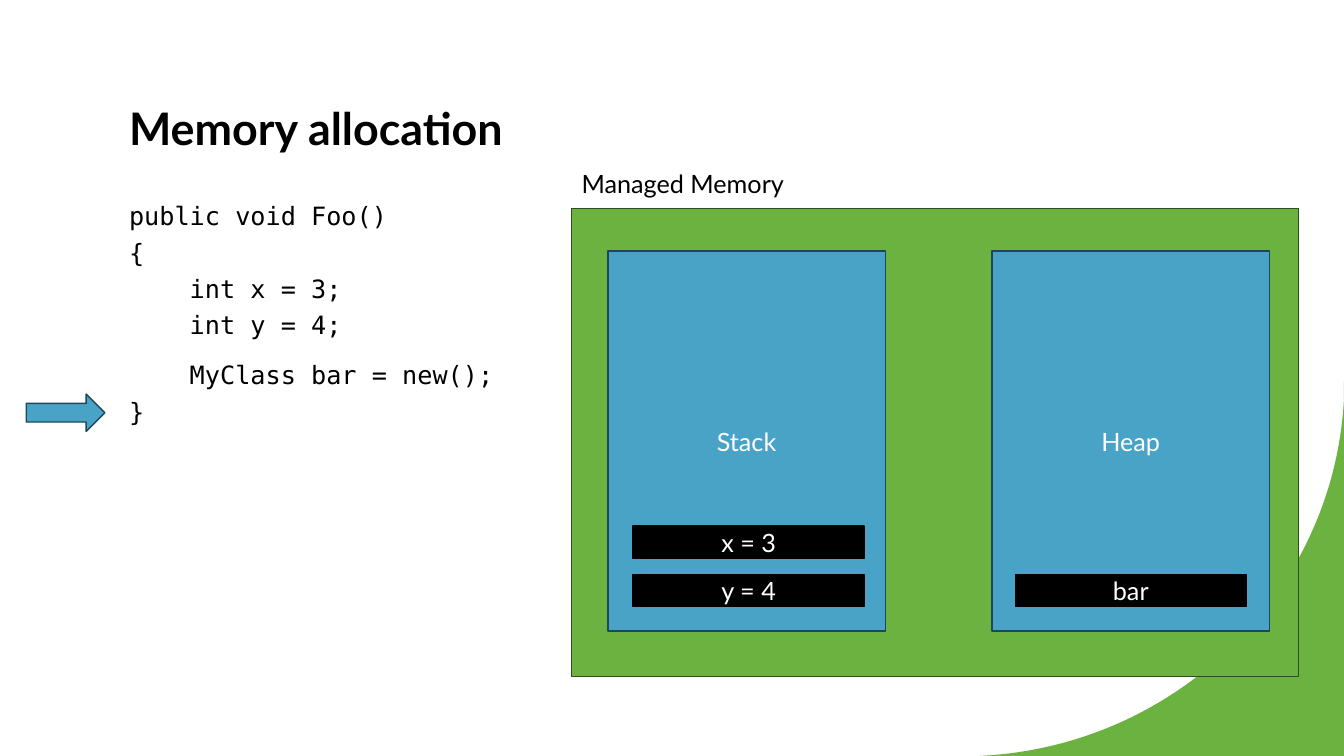
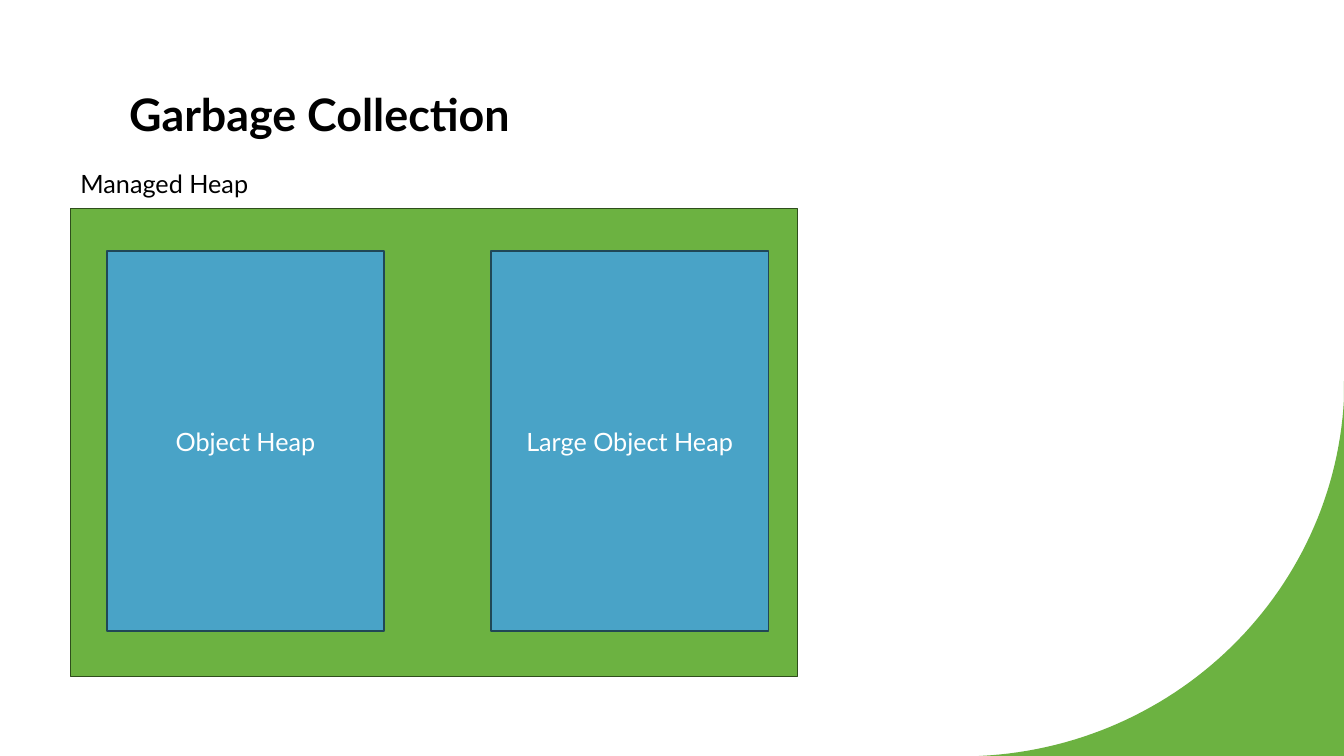
import copy

from lxml import etree
from pptx import Presentation
from pptx.dml.color import RGBColor
from pptx.enum import shapes, text
from pptx.oxml import ns
from pptx.util import Inches, Pt

GREEN = RGBColor(0x6C, 0xB2, 0x41)
DARK_GREEN = RGBColor(0x2F, 0x4E, 0x1C)
BLUE = RGBColor(0x49, 0xA3, 0xC7)
DARK_BLUE = RGBColor(0x20, 0x47, 0x57)
BLACK = RGBColor(0x00, 0x00, 0x00)
WHITE = RGBColor(0xFF, 0xFF, 0xFF)
TEXT_FONT = "Lato"
CODE_FONT = "DejaVu Sans Mono"

CODE = [
    "public void Foo()\v{\v    int x = 3;\v    int y = 4;",
    "    MyClass bar = new();\v}",
]


def format_runs(para, color, size=18, name=TEXT_FONT, bold=False):
    for span in para.runs:
        span.font.name = name
        span.font.size = Pt(size)
        span.font.bold = bold
        span.font.color.rgb = color


def add_box(slide, bounds, fill, line, label="", preset=shapes.MSO_SHAPE.RECTANGLE):
    """Add a filled, outlined shape with a centred white label."""
    box = slide.shapes.add_shape(preset, *map(Inches, bounds))
    box.shadow.inherit = False
    box.fill.solid()
    box.fill.fore_color.rgb = fill
    box.line.color.rgb = line
    box.line.width = Pt(1)
    if label:
        box.text_frame.text = label
        box.text_frame.vertical_anchor = text.MSO_ANCHOR.MIDDLE
        para = box.text_frame.paragraphs[0]
        para.alignment = text.PP_ALIGN.CENTER
        format_runs(para, WHITE)


deck = Presentation()
deck.slide_width = Inches(13.33)
deck.slide_height = Inches(7.5)
allocation = deck.slides.add_slide(deck.slide_layouts[1])
collection = deck.slides.add_slide(deck.slide_layouts[5])

# Green corner: a sampled Bezier edge, moved to the master so all slides share it
edge = [(9.71, 7.5), (11.67, 7.41), (13.23, 5.87), (13.33, 3.96)]
curve = []
for step in range(61):
    t = step / 60
    weights = [(1 - t) ** 3, 3 * t * (1 - t) ** 2, 3 * t**2 * (1 - t), t**3]
    curve.append(tuple(
        Inches(sum(w * point[axis] for w, point in zip(weights, edge)))
        for axis in (0, 1)
    ))
outline = allocation.shapes.build_freeform(Inches(13.33), Inches(3.78), scale=1.0)
outline.add_line_segments(
    [(Inches(13.33), Inches(7.5)), (Inches(9.63), Inches(7.5))] + curve
)
corner = outline.convert_to_shape()
corner.shadow.inherit = False
corner.fill.solid()
corner.fill.fore_color.rgb = GREEN
corner.line.fill.background()
deck.slide_master.shapes.element.insert(2, corner.element)

# Title and memory diagram on each slide
diagrams = [
    (allocation, "Memory allocation", 0.79, 5.67, "Managed Memory", ["Stack", "Heap"]),
    (collection, "Garbage Collection", 0.65, 0.7, "Managed Heap",
     ["Object Heap", "Large Object Heap"]),
]
for slide, heading, title_height, left, caption, regions in diagrams:
    title = slide.shapes.title
    title.left, title.top = Inches(1.18), Inches(0.79)
    title.width, title.height = Inches(10.88), Inches(title_height)
    title.text_frame.text = heading
    title.text_frame.auto_size = text.MSO_AUTO_SIZE.NONE
    title.text_frame.vertical_anchor = text.MSO_ANCHOR.BOTTOM
    para = title.text_frame.paragraphs[0]
    para.alignment = text.PP_ALIGN.LEFT
    para.line_spacing = 1.1
    format_runs(para, BLACK, size=32, bold=True)

    add_box(slide, (left, 2.07, 7.21, 4.64), GREEN, DARK_GREEN)
    for column, region in enumerate(regions):
        region_left = left + 0.36 + column * 3.81
        add_box(slide, (region_left, 2.49, 2.75, 3.77), BLUE, DARK_BLUE, region)

    label = slide.shapes.add_textbox(
        Inches(left), Inches(1.62), Inches(5.33), Inches(0.42))
    label.text_frame.word_wrap = True
    label.text_frame.text = caption
    format_runs(label.text_frame.paragraphs[0], BLACK)

# Code listing
body = allocation.placeholders[1]
body.left, body.top = Inches(1.18), Inches(1.88)
body.width, body.height = Inches(3.85), Inches(4.61)
body.text_frame.text = "\n".join(CODE)
body.text_frame.auto_size = text.MSO_AUTO_SIZE.NONE
for para in body.text_frame.paragraphs:
    para.line_spacing = 1.2
    para.space_before = Pt(10)
    format_runs(para, BLACK, name=CODE_FONT)
    properties = para._p.get_or_add_pPr()
    properties.set("marL", "0")
    properties.set("indent", "0")
    etree.SubElement(properties, ns.qn("a:buNone"))
    # Line breaks need the run format too, or they keep the template's size
    for line_break in para._p.findall(ns.qn("a:br")):
        line_break.append(copy.deepcopy(para.runs[0].font._element))

# Current statement and allocated values
add_box(allocation, (0.26, 3.91, 0.78, 0.37), BLUE, DARK_BLUE,
        preset=shapes.MSO_SHAPE.RIGHT_ARROW)
for value, left, top in [("x = 3", 6.28, 5.22), ("y = 4", 6.28, 5.7), ("bar", 10.07, 5.7)]:
    add_box(allocation, (left, top, 2.29, 0.32), BLACK, BLACK, value)

deck.save("out.pptx")
